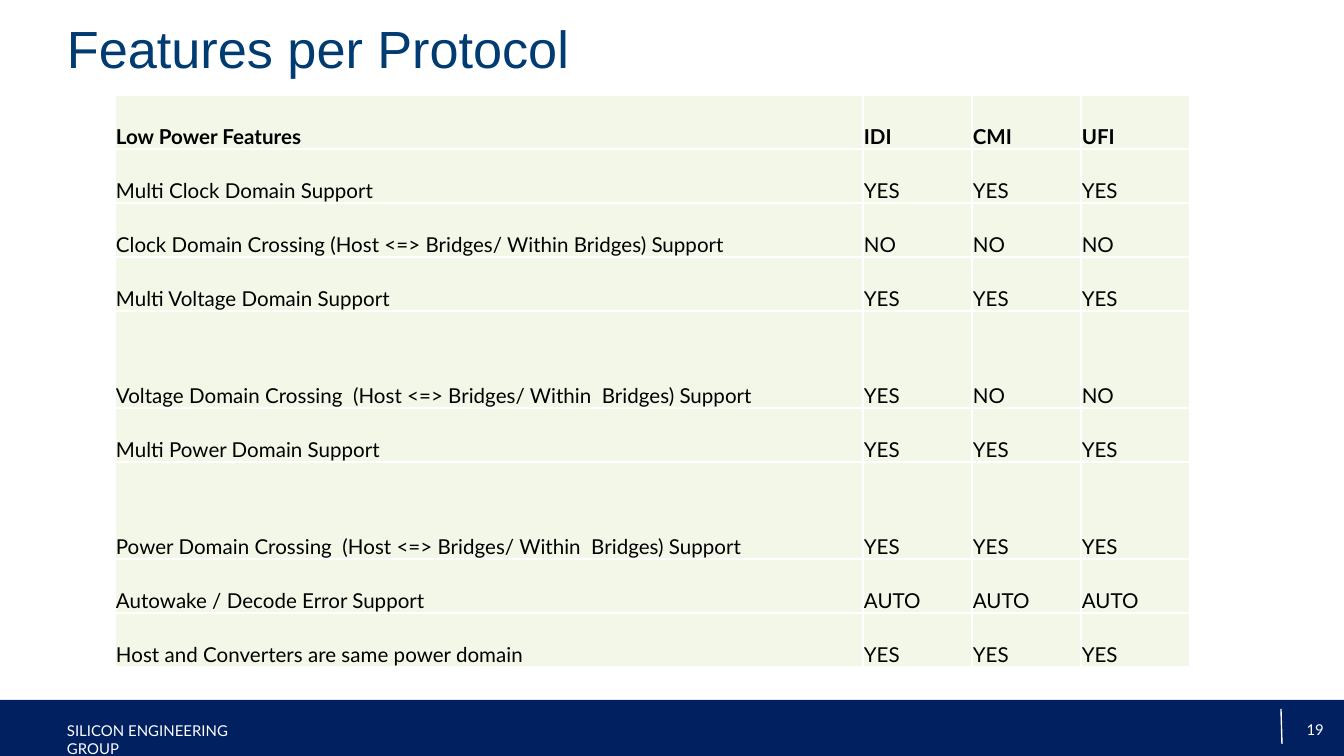
from lxml.etree import SubElement
from pptx import Presentation
from pptx.dml.color import RGBColor
from pptx.enum.shapes import MSO_CONNECTOR, MSO_SHAPE
from pptx.enum.text import MSO_ANCHOR, MSO_AUTO_SIZE, PP_ALIGN
from pptx.oxml.ns import qn
from pptx.util import Emu, Pt

EMU_PER_PX = 914400 / 134.4
NAVY, TITLE_BLUE, WHITE, BLACK, PALE_GREEN = "002060", "003C71", "FFFFFF", "000000", "F3F7E7"
PROTOCOLS = ["IDI", "CMI", "UFI"]
FEATURES = [
    ("Multi Clock Domain Support", "YES YES YES", 54),
    ("Clock Domain Crossing (Host <=> Bridges/ Within Bridges) Support", "NO NO NO", 54),
    ("Multi Voltage Domain Support", "YES YES YES", 54),
    ("Voltage Domain Crossing  (Host <=> Bridges/ Within  Bridges) Support", "YES NO NO", 97),
    ("Multi Power Domain Support", "YES YES YES", 54),
    ("Power Domain Crossing  (Host <=> Bridges/ Within  Bridges) Support", "YES YES YES", 97),
    ("Autowake / Decode Error Support", "AUTO AUTO AUTO", 54),
    ("Host and Converters are same power domain", "YES YES YES", 54),
]


def px(length):
    """Convert pixels to EMU."""
    return Emu(round(length * EMU_PER_PX))


def box(*lengths):
    """Convert a run of pixel lengths to EMU."""
    return [px(length) for length in lengths]


def color(hex_value):
    """Return the colour for a hex string."""
    return RGBColor.from_string(hex_value)


def write(frame, text, size, font, hex_value, bold=False, align=PP_ALIGN.LEFT):
    """Put one formatted line of text in a text frame."""
    frame.text = text
    paragraph = frame.paragraphs[0]
    paragraph.alignment = align
    style = paragraph.runs[0].font
    style.size, style.name, style.bold = Pt(size), font, bold
    style.color.rgb = color(hex_value)


def fit_frame(frame, anchor):
    """Clear the insets of a text frame, wrap it and anchor it."""
    frame.margin_left = frame.margin_right = frame.margin_top = frame.margin_bottom = 0
    frame.word_wrap = True
    frame.auto_size = MSO_AUTO_SIZE.NONE
    frame.vertical_anchor = anchor


def add_title(slide, text):
    """Place and format the title placeholder."""
    title = slide.shapes.title
    title.left, title.top, title.width, title.height = box(67, 12, 1210, 67)
    fit_frame(title.text_frame, MSO_ANCHOR.BOTTOM)
    write(title.text_frame, text, 28, "Arial", TITLE_BLUE)


def add_label(slide, place, text, anchor, align=PP_ALIGN.LEFT):
    """Add a small white label to the footer."""
    frame = slide.shapes.add_textbox(*box(*place)).text_frame
    fit_frame(frame, anchor)
    write(frame, text, 8, "Lato", WHITE, align=align)


def add_footer(slide):
    """Draw the footer band, group name, divider and page number."""
    band = slide.shapes.add_shape(MSO_SHAPE.RECTANGLE, *box(0, 700, 1344, 56))
    band.shadow.inherit = False
    band.fill.solid()
    band.fill.fore_color.rgb = color(NAVY)
    band.line.fill.background()
    add_label(slide, (67, 722, 211, 17), "SILICON ENGINEERING GROUP", MSO_ANCHOR.TOP)
    divider = slide.shapes.add_connector(MSO_CONNECTOR.STRAIGHT, *box(1281, 709, 1282, 744))
    divider.line.color.rgb = color(WHITE)
    divider.line.width = Pt(0.75)
    SubElement(divider._element.spPr, qn("a:effectLst"))
    add_label(slide, (1011, 710, 313, 40), "19", MSO_ANCHOR.MIDDLE, PP_ALIGN.RIGHT)


def add_borders(cell, hex_value, points):
    """Draw a solid line on all four sides of a cell."""
    properties = cell._tc.get_or_add_tcPr()
    for index, side in enumerate(("lnL", "lnR", "lnT", "lnB")):
        line = properties.makeelement(qn(f"a:{side}"), {"w": str(Pt(points))})
        fill = SubElement(line, qn("a:solidFill"))
        SubElement(fill, qn("a:srgbClr"), val=hex_value)
        properties.insert(index, line)


def fill_cell(cell, text, bold):
    """Write and format one table cell."""
    cell.margin_left = cell.margin_right = cell.margin_top = px(1)
    cell.margin_bottom = 0
    cell.vertical_anchor = MSO_ANCHOR.BOTTOM
    write(cell.text_frame, text, 11, "Lato", BLACK, bold)
    cell.fill.solid()
    cell.fill.fore_color.rgb = color(PALE_GREEN)
    add_borders(cell, WHITE, 1)


def add_feature_table(slide):
    """Add the table of low power features by protocol."""
    rows = [("Low Power Features", " ".join(PROTOCOLS), 54)] + FEATURES
    widths = [748] + [109] * len(PROTOCOLS)
    height = sum(row_height for _, _, row_height in rows)
    place = box(115, 95, sum(widths), height)
    table = slide.shapes.add_table(len(rows), len(widths), *place).table
    table.horz_banding = False
    for column, width in zip(table.columns, widths):
        column.width = px(width)
    for row_index, (feature, support, row_height) in enumerate(rows):
        table.rows[row_index].height = px(row_height)
        for column_index, text in enumerate([feature] + support.split()):
            fill_cell(table.cell(row_index, column_index), text, row_index == 0)


def main():
    """Build the slide and save it."""
    presentation = Presentation()
    presentation.slide_width, presentation.slide_height = box(1344, 756)
    slide = presentation.slides.add_slide(presentation.slide_layouts[5])
    add_title(slide, "Features per Protocol")
    add_feature_table(slide)
    add_footer(slide)
    presentation.save("out.pptx")


if __name__ == "__main__":
    main()
